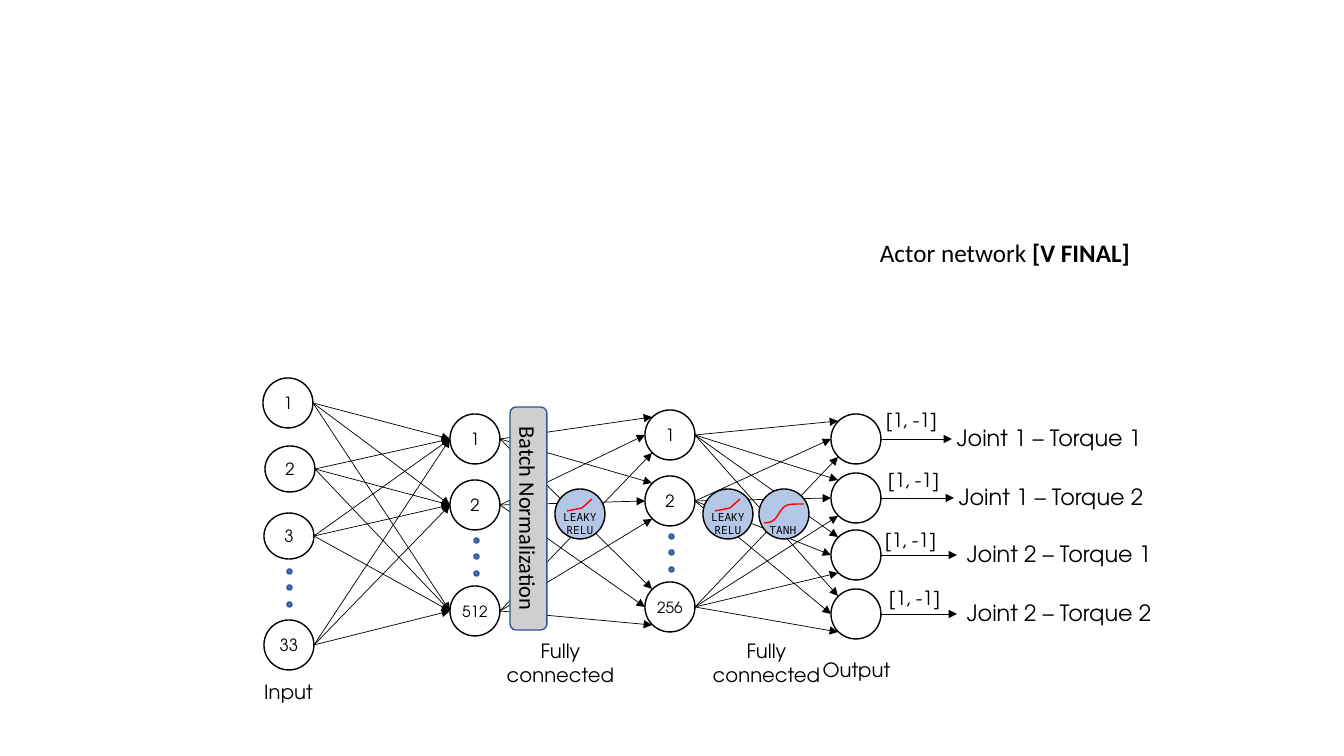
import math

import pptx
import pptx.dml.color
import pptx.enum.shapes
import pptx.enum.text
import pptx.oxml.ns
import pptx.oxml.xmlchemy
import pptx.util

EMU = 914400 / 100.8
COLORS = {"black": "000000", "dot": "4472C4", "edge": "325491",
          "bar": "D0CECE", "badge": "B4C7E7", "curve": "FF0000"}
SANS, BODY, MONO = "TeX Gyre Adventor", "Calibri", "Noto Sans Mono"
NODE = 50
SHAPES = pptx.enum.shapes.MSO_SHAPE
ALIGN = pptx.enum.text.PP_ALIGN
ANCHOR = pptx.enum.text.MSO_ANCHOR


def emu(*lengths):
    """Turn pixels into EMU."""
    return [round(v * EMU) for v in lengths]


def rgb(name):
    """Look up a named colour."""
    return pptx.dml.color.RGBColor.from_string(COLORS[name])


def write(tf, text, size=14, font=SANS, align=ALIGN.CENTER, anchor=ANCHOR.TOP,
          inset=None, bold_tail=""):
    """Fill a text frame, one paragraph per line, with an optional bold ending."""
    tf.word_wrap = True
    tf.vertical_anchor = anchor
    if inset is not None:
        tf.margin_left = tf.margin_right = emu(inset)[0]
        tf.margin_top = tf.margin_bottom = emu(inset)[0]
    for i, line in enumerate(text.split("\n")):
        p = tf.add_paragraph() if i else tf.paragraphs[0]
        p.alignment = align
        for part, bold in ((line, False), (bold_tail, True)):
            if part:
                r = p.add_run()
                r.text = part
                r.font.size = pptx.util.Pt(size)
                r.font.name = font
                r.font.bold = bold
                r.font.color.rgb = rgb("black")


def add_text(shapes, box, text, **fmt):
    """Add a text box."""
    write(shapes.add_textbox(*emu(*box)).text_frame, text, **fmt)


def style(sp, fill=None, line="black"):
    """Give a shape its fill and one-point outline, without a shadow."""
    sp.shadow.inherit = False
    if fill:
        sp.fill.solid()
        sp.fill.fore_color.rgb = rgb(fill)
    else:
        sp.fill.background()
    sp.line.color.rgb = rgb(line)
    sp.line.width = pptx.util.Pt(1)


def add_shape(shapes, kind, box, fill=None, line="black"):
    """Add a styled preset shape."""
    sp = shapes.add_shape(kind, *emu(*box))
    style(sp, fill, line)
    return sp


def add_line(shapes, start, end, color="black", width=0.5, arrow=True):
    """Add a straight line, with an arrowhead at its end if wanted."""
    cx = shapes.add_connector(pptx.enum.shapes.MSO_CONNECTOR.STRAIGHT,
                              *emu(*start, *end))
    cx.line.color.rgb = rgb(color)
    cx.line.width = pptx.util.Pt(width)
    sp_pr = cx._element.spPr
    if arrow:
        tail = pptx.oxml.xmlchemy.OxmlElement("a:tailEnd")
        tail.set("type", "triangle")
        sp_pr.find(pptx.oxml.ns.qn("a:ln")).append(tail)
    sp_pr.append(pptx.oxml.xmlchemy.OxmlElement("a:effectLst"))


def add_layer(s, left, top, nodes, dots=None):
    """Draw a column of (dx, dy, height, label, size) nodes; return their boxes."""
    boxes = []
    for dx, dy, height, label, size in nodes:
        box = (left + dx, top + dy, NODE, height)
        sp = add_shape(s.shapes, SHAPES.OVAL, box)
        if label:
            write(sp.text_frame, label, size=size, anchor=ANCHOR.MIDDLE, inset=4)
        boxes.append(box)
    if dots:
        for step in (0, 16, 33):
            add_shape(s.shapes, SHAPES.OVAL,
                      (left + 24, top + dots + step, 5, 5), "dot", "edge")
    return boxes


def connect(s, sources, targets, spread=True):
    """Link every source to every target; spread arrivals over the left side."""
    for i, (sx, sy, sw, sh) in enumerate(sources):
        turn = i - 1 if spread else 0
        for tx, ty, tw, th in targets:
            add_line(s.shapes, (sx + sw, sy + sh / 2),
                     (tx + 7 * abs(turn), ty + th / 2 + 18 * turn))


def add_badge(s, left, top, kind):
    """Draw an activation badge, either LEAKY RELU or TANH, as a group."""
    shapes = s.shapes.add_group_shape().shapes
    add_shape(shapes, SHAPES.OVAL, (left, top, NODE, NODE), "badge")
    if kind == "TANH":
        points = [emu(left + x, top + 24.5 - 9.5 * math.tanh((x - 20) / 6))
                  for x in range(5, 46)]
        fb = shapes.build_freeform(*points[0])
        fb.add_line_segments(points[1:], close=False)
        style(fb.convert_to_shape(), line="curve")
        text_box = (left + 4, top + 34, 40, 13)
    else:
        bend = (left + 27, top + 19)
        for start, end in (((left + 12, top + 22), bend),
                           (bend, (left + 37, top + 10))):
            add_line(shapes, start, end, "curve", 1, arrow=False)
        text_box = (left + 5, top + 21, 40, 27)
    add_text(shapes, text_box, kind, size=8, font=MONO, inset=0)


def add_bar(s, box):
    """Draw the batch normalization bar with its sideways text."""
    sp = add_shape(s.shapes, SHAPES.ROUNDED_RECTANGLE, box, "bar", "edge")
    write(sp.text_frame, "Batch Normalization", size=16, font=BODY,
          anchor=ANCHOR.MIDDLE)
    sp.text_frame._txBody.bodyPr.set("vert", "vert")


def add_output(s, node, label, tip, label_left, range_left, range_dy):
    """Draw the arrow, value range and label to the right of an output node."""
    left, top, width, height = node
    y = top + height / 2
    add_line(s.shapes, (left + width, y), (left + tip, y))
    add_text(s.shapes, (left + range_left, top + range_dy, 85, 34), "[1, -1]")
    add_text(s.shapes, (left + label_left, top + 5, 225, 37), label,
             size=16, align=ALIGN.LEFT)


def add_network(s, left, top):
    """Draw the actor network from its top left corner."""
    inputs = add_layer(s, left, top, [
        (0, 0, 50, "1", 12), (2, 68, 46, "2", 12),
        (1, 135, 46, "3", 12), (1, 242, 50, "33", 12)], dots=191)
    hidden = [add_layer(s, left + dx, top + dy, [
        (0, 0, NODE, "1", 12), (0, 66, NODE, "2", 12),
        (0, 172, NODE, last, 11)], dots=124)
        for dx, dy, last in ((187, 36, "512"), (382, 32, "256"))]
    outputs = add_layer(s, left + 568, top + 36, [
        (0, dy, NODE, "", 12) for dy in (0, 59, 116, 175)])

    connect(s, inputs, hidden[0], spread=False)
    connect(s, *hidden)
    connect(s, hidden[1], outputs)
    add_bar(s, (left + 247, top + 29, 37, 223))
    for dx, kind in ((292, "LEAKY RELU"), (440, "LEAKY RELU"), (496, "TANH")):
        add_badge(s, left + dx, top + 111, kind)

    rows = [("Joint 1 – Torque 1", 121, 116, 38, -11),
            ("Joint 1 – Torque 2", 123, 118, 40, -10),
            ("Joint 2 – Torque 1", 126, 126, 37, -7),
            ("Joint 2 – Torque 2", 126, 126, 41, -8)]
    for node, row in zip(outputs, rows):
        add_output(s, node, *row)
    for dx, dy, height, text in ((-63, 297, 34, "Input"),
                                 (209, 256, 57, "Fully\nconnected"),
                                 (415, 256, 57, "Fully\nconnected"),
                                 (505, 275, 34, "Output")):
        add_text(s.shapes, (left + dx, top + dy, 177, height), text)


def main():
    """Build the slide and save it."""
    prs = pptx.Presentation()
    prs.slide_width, prs.slide_height = emu(1344, 756)
    s = prs.slides.add_slide(prs.slide_layouts[6])
    add_text(s.shapes, (870, 232, 334, 40), "Actor network ", size=18,
             font=BODY, align=ALIGN.LEFT, bold_tail="[V FINAL]")
    add_network(s, 263, 378)
    prs.save("out.pptx")


main()
